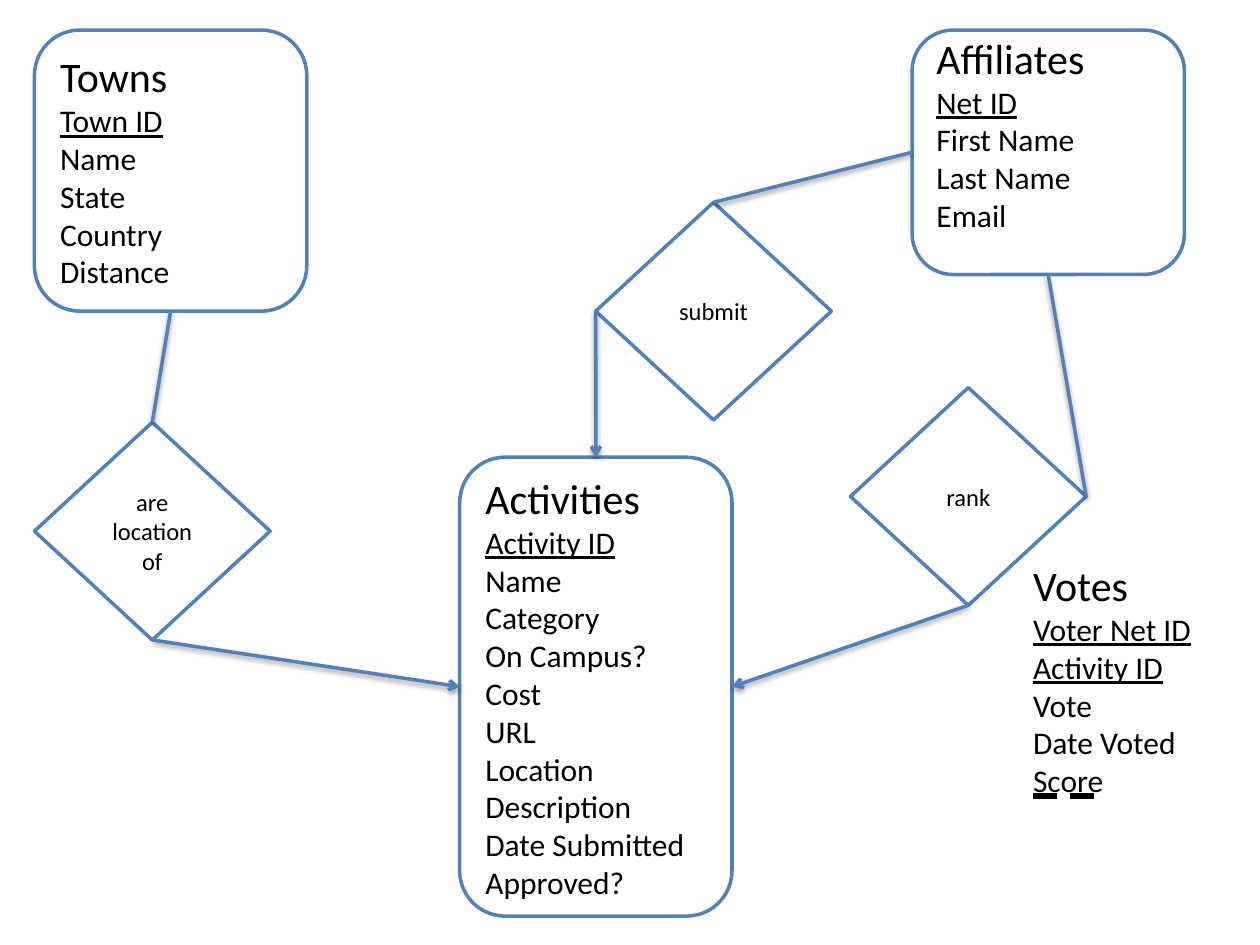
import pptx
import pptx.util
import pptx.dml.color
import pptx.oxml
import pptx.oxml.ns
import pptx.enum.shapes
import pptx.enum.text

Pt = pptx.util.Pt
SHAPE = pptx.enum.shapes.MSO_SHAPE
ANCHOR = pptx.enum.text.MSO_ANCHOR
ALIGN = pptx.enum.text.PP_ALIGN
DASHED = pptx.enum.text.MSO_UNDERLINE.DASH_HEAVY_LINE

BLUE, BLACK, WHITE = "4F81BD", "000000", "FFFFFF"
FONT = "Calibri"
ENTITY_W = 155.6
DIAMOND_W, DIAMOND_H = 134.7, 124.4
TOP, LEFT, BOTTOM, RIGHT = range(4)  # connection sites

# title: left, top, height, bottom margin, key fields, other fields
ENTITIES = {
    "Affiliates": (521.2, 17.2, 139.7, 25.6, ["Net ID"],
                   ["First Name", "Last Name", "Email"]),
    "Activities": (262.7, 261.3, 262.2, 3.6, ["Activity ID"],
                   ["Name", "Category", "On Campus?", "Cost", "URL", "Location",
                    "Description", "Date Submitted", "Approved?"]),
    "Towns": (19.7, 17.2, 160.6, 3.6, ["Town ID"],
              ["Name", "State", "Country", "Distance"]),
}
# label: left, top
RELATIONS = {
    "are location of": (19.7, 241.3),
    "rank": (486, 221.5),
    "submit": (340.4, 115.6),
}
# from, site, to, site, arrow
LINKS = [
    ("are location of", BOTTOM, "Activities", LEFT, True),
    ("are location of", TOP, "Towns", BOTTOM, False),
    ("Affiliates", BOTTOM, "rank", RIGHT, False),
    ("rank", BOTTOM, "Activities", RIGHT, True),
    ("Affiliates", LEFT, "submit", TOP, False),
    ("submit", LEFT, "Activities", TOP, True),
]
VOTES = (583.2, 316.2, 123.1, 166.8)
VOTE_KEYS, VOTE_FIELDS = ["Voter Net ID", "Activity ID"], ["Vote", "Date Voted"]
SHADOW = ('<a:effectLst %s><a:outerShdw blurRad="40000" dist="20000" dir="5400000" '
          'rotWithShape="0"><a:srgbClr val="000000"><a:alpha val="38000"/></a:srgbClr>'
          '</a:outerShdw></a:effectLst>' % pptx.oxml.ns.nsdecls("a"))
ARROW = '<a:tailEnd %s type="arrow"/>' % pptx.oxml.ns.nsdecls("a")


def rgb(value):
    """Turn a hex string into a colour."""
    return pptx.dml.color.RGBColor.from_string(value)


def add_text(tf, text, size=18, underline=None, align=ALIGN.LEFT):
    """Write one paragraph, using the empty first one if it is free."""
    p = tf.paragraphs[0]
    if p.runs:
        p = tf.add_paragraph()
    p.alignment = align
    r = p.add_run()
    r.text = text
    r.font.name, r.font.size = FONT, Pt(size)
    r.font.color.rgb = rgb(BLACK)
    r.font.underline = underline


def add_fields(tf, title, keys, fields):
    """Write a title, its underlined keys and its plain fields."""
    add_text(tf, title, size=24)
    for key in keys:
        add_text(tf, key, underline=True)
    for field in fields:
        add_text(tf, field)


def add_box(s, kind, *box):
    """Add a white shape with a blue outline."""
    sp = s.shapes.add_shape(kind, *map(Pt, box))
    sp.shadow.inherit = False
    sp.fill.solid()
    sp.fill.fore_color.rgb = rgb(WHITE)
    sp.line.color.rgb = rgb(BLUE)
    sp.line.width = Pt(2)
    sp.text_frame.word_wrap = True
    sp.text_frame.vertical_anchor = ANCHOR.MIDDLE
    return sp


def add_link(s, start, start_site, end, end_site, arrow):
    """Join two shapes with a shadowed line."""
    line = s.shapes.add_connector(pptx.enum.shapes.MSO_CONNECTOR.STRAIGHT, 0, 0, 0, 0)
    line.begin_connect(start, start_site)
    line.end_connect(end, end_site)
    line.line.color.rgb = rgb(BLUE)
    line.line.width = Pt(2)
    if arrow:
        line.line._get_or_add_ln().append(pptx.oxml.parse_xml(ARROW))
    line._element.spPr.append(pptx.oxml.parse_xml(SHADOW))


prs = pptx.Presentation()
prs.slide_width, prs.slide_height = Pt(720), Pt(540)
s = prs.slides.add_slide(prs.slide_layouts[6])

nodes = {}
for title, (x, y, h, margin, keys, fields) in ENTITIES.items():
    sp = nodes[title] = add_box(s, SHAPE.ROUNDED_RECTANGLE, x, y, ENTITY_W, h)
    sp.text_frame.margin_bottom = Pt(margin)
    add_fields(sp.text_frame, title, keys, fields)

for label, (x, y) in RELATIONS.items():
    sp = nodes[label] = add_box(s, SHAPE.DIAMOND, x, y, DIAMOND_W, DIAMOND_H)
    add_text(sp.text_frame, label, size=14, align=ALIGN.CENTER)

for start, start_site, end, end_site, arrow in LINKS:
    add_link(s, nodes[start], start_site, nodes[end], end_site, arrow)

tf = s.shapes.add_textbox(*map(Pt, VOTES)).text_frame
tf.word_wrap = True
add_fields(tf, "Votes", VOTE_KEYS, VOTE_FIELDS)
add_text(tf, "Score", underline=DASHED)

prs.save("out.pptx")
